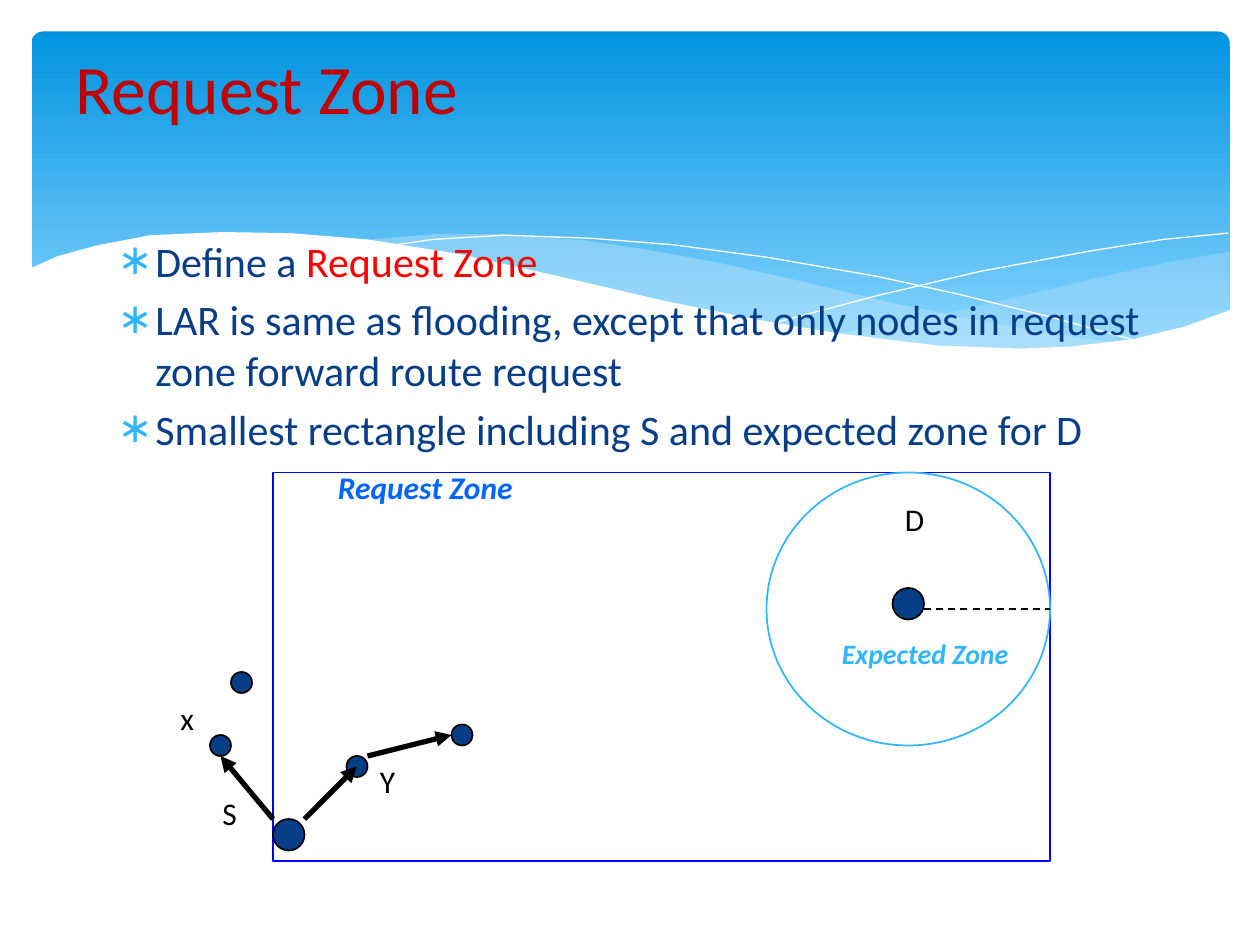
from lxml.etree import SubElement
from pptx import Presentation
from pptx.dml.color import RGBColor
from pptx.enum.dml import MSO_LINE
from pptx.enum.shapes import MSO_CONNECTOR, MSO_SHAPE
from pptx.enum.text import MSO_ANCHOR, MSO_AUTO_SIZE, PP_ALIGN
from pptx.oxml.ns import qn
from pptx.util import Inches, Pt

COLORS = {
    "sky": "0293E0", "pale": "83D3FE", "mist": "C6E7FC", "white": "FFFFFF",
    "title": "C00000", "navy": "073E87", "red": "FF0000", "black": "000000",
    "cyan": "31B6FD", "frame": "0000FF", "zone": "0066FF",
}


def add_text(paragraph, text, size=18, color="black", bold=False, italic=False):
    run = paragraph.add_run()
    run.text = text
    run.font.name = "Calibri"
    run.font.size = Pt(size)
    run.font.bold = bold
    run.font.italic = italic
    run.font.color.rgb = RGBColor.from_string(COLORS[color])


def style_shape(shape, fill=None, line=None, width=1):
    shape.shadow.inherit = False
    if fill:
        shape.fill.solid()
        shape.fill.fore_color.rgb = RGBColor.from_string(COLORS[fill])
    else:
        shape.fill.background()
    if line:
        shape.line.color.rgb = RGBColor.from_string(COLORS[line])
        shape.line.width = Pt(width)
    else:
        shape.line.fill.background()


presentation = Presentation()
presentation.slide_width = Inches(10)
presentation.slide_height = Inches(7.5)
unit = presentation.slide_width // 120
slide = presentation.slides.add_slide(presentation.slide_layouts[1])
shapes = slide.shapes
title, body = slide.placeholders

banner = shapes.add_shape(MSO_SHAPE.ROUNDED_RECTANGLE,
                          *[int(unit * length) for length in (3, 3, 114.1, 32.4)])
style_shape(banner)
banner.adjustments[0] = 0.034
banner.fill.gradient()
banner.fill.gradient_angle = 270
for stop, color, position in zip(banner.fill.gradient_stops, ("sky", "pale"), (0, 0.9)):
    stop.color.rgb = RGBColor.from_string(COLORS[color])
    stop.position = position

waves = [
    ("mist", None, 29, [
        (117, 24), (112.2, 24.8), (106.9, 25.9), (99.8, 27.6), (90.4, 29.8),
        (79.3, 31.8), (84.6, 32.5), (90.8, 33.1), (97.7, 33.4), (104.6, 32.9),
        (110.5, 31.8), (117.1, 29.6), (117.1, 24)]),
    ("mist", None, 40, [
        (107.2, 32.8), (100.4, 31.8), (93, 30.5), (84.7, 28.8), (75.5, 26.6),
        (68.3, 25), (61.7, 23.8), (55.8, 22.9), (47.9, 22.3), (41.3, 22.3),
        (34.3, 22.9), (41, 23.9), (48.5, 25.3), (58.9, 27.8), (67.9, 29.8),
        (76.1, 31.3), (83.4, 32.4), (91.3, 33.2), (98.2, 33.4)]),
    (None, "white", 100, [
        (37.1, 23.4), (41.3, 22.8), (48.1, 22.4), (56.3, 22.7), (64, 23.3),
        (73, 24.5), (83.4, 26.3), (91.2, 28), (99.7, 30.1), (108.8, 32.6)]),
    (None, "white", 100, [
        (73.6, 30.8), (83.4, 28.2), (93.1, 25.9), (103.9, 23.9), (110.9, 22.8),
        (117, 22.2)]),
    ("white", None, 100, [
        (117.2, 29.5), (112.8, 31.1), (107.9, 32.3), (102, 33), (97.1, 33.2),
        (89.3, 32.9), (80.2, 31.8), (72.4, 30.5), (63.5, 28.7), (53.6, 26.4),
        (43.8, 24.2), (35, 22.8), (27.6, 22.2), (21.2, 22.1), (14.3, 22.4),
        (9.1, 23.4), (5.5, 24.4), (2.8, 25.6), (2.8, 39.5), (117.2, 39.5)]),
]
for fill, line, opacity, points in waves:
    corners = [(int(unit * column), int(unit * row)) for column, row in points]
    builder = shapes.build_freeform(*corners[0])
    builder.add_line_segments(corners[1:], close=fill is not None)
    wave = builder.convert_to_shape()
    style_shape(wave, fill, line, 0)
    if opacity < 100:
        color_element = wave._element.spPr.find(qn("a:solidFill"))[0]
        SubElement(color_element, qn("a:alpha"), val=str(opacity * 1000))

placements = [
    (title, (6, 4.4, 108, 7.8), MSO_ANCHOR.MIDDLE),
    (body, (10, 21.8, 102, 48), MSO_ANCHOR.TOP),
]
for placeholder, box, anchor in placements:
    placeholder.left, placeholder.top, placeholder.width, placeholder.height = [
        int(unit * length) for length in box]
    placeholder.text_frame.auto_size = MSO_AUTO_SIZE.NONE
    placeholder.text_frame.vertical_anchor = anchor
    shapes._spTree.append(placeholder._element)

heading = title.text_frame.paragraphs[0]
heading.alignment = PP_ALIGN.LEFT
add_text(heading, "Request Zone", size=39.6, color="title")

points = [
    [("Define a ", "navy"), ("Request Zone", "red")],
    [("LAR is same as flooding, except that only nodes in request zone "
      "forward route request", "navy")],
    [("Smallest rectangle including S and expected zone for D", "navy")],
]
for number, parts in enumerate(points):
    paragraph = body.text_frame.add_paragraph() if number else body.text_frame.paragraphs[0]
    properties = paragraph._p.get_or_add_pPr()
    properties.set("marL", str(Inches(0.3)))
    properties.set("indent", str(-Inches(0.3)))
    bullet_color = SubElement(properties, qn("a:buClr"))
    SubElement(bullet_color, qn("a:srgbClr"), val=COLORS["cyan"])
    SubElement(properties, qn("a:buFont"), typeface="Calibri")
    SubElement(properties, qn("a:buChar"), char="∗")
    paragraph.space_before = Pt(4.8 if number else 0)
    for text, color in parts:
        add_text(paragraph, text, size=24, color=color)

outlines = [
    (MSO_SHAPE.RECTANGLE, (26, 45, 74, 37), None, "frame"),
    (MSO_SHAPE.OVAL, (73, 45, 27, 26), None, "cyan"),
]
nodes = [(26, 78, 3), (85, 56, 3), (33, 72, 2), (20, 70, 2), (22, 64, 2), (43, 69, 2)]
dots = [(MSO_SHAPE.OVAL, (column, row, size, size), "navy", "black")
        for column, row, size in nodes]
for kind, box, fill, line in outlines + dots:
    shape = shapes.add_shape(kind, *[unit * length for length in box])
    style_shape(shape, fill, line)

links = [
    ((88, 58, 100, 58), 1, False),
    ((26, 78, 21, 72), 3, True),
    ((29, 78, 34, 73), 3, True),
    ((35, 72, 43, 70), 3, True),
]
for ends, width, has_arrow in links:
    connector = shapes.add_connector(MSO_CONNECTOR.STRAIGHT, *[unit * end for end in ends])
    connector.line.color.rgb = RGBColor.from_string(COLORS["black"])
    connector.line.width = Pt(width)
    if has_arrow:
        SubElement(connector.line._get_or_add_ln(), qn("a:tailEnd"), type="triangle")
    else:
        connector.line.dash_style = MSO_LINE.DASH
    SubElement(connector._element.spPr, qn("a:effectLst"))

emphasis = {"bold": True, "italic": True}
labels = [
    ("S", (20, 75, 5, 6), {}),
    ("Request Zone", (31, 44, 25, 6), {"color": "zone", **emphasis}),
    ("D", (85, 47, 5, 6), {}),
    ("Expected Zone", (79, 60, 19, 4), {"size": 16, "color": "cyan", **emphasis}),
    ("x", (16, 66, 4, 6), {}),
    ("Y", (35, 72, 5, 6), {}),
]
for text, box, text_format in labels:
    label = shapes.add_textbox(*[unit * length for length in box])
    label.text_frame.word_wrap = False
    add_text(label.text_frame.paragraphs[0], text, **text_format)

presentation.save("out.pptx")
